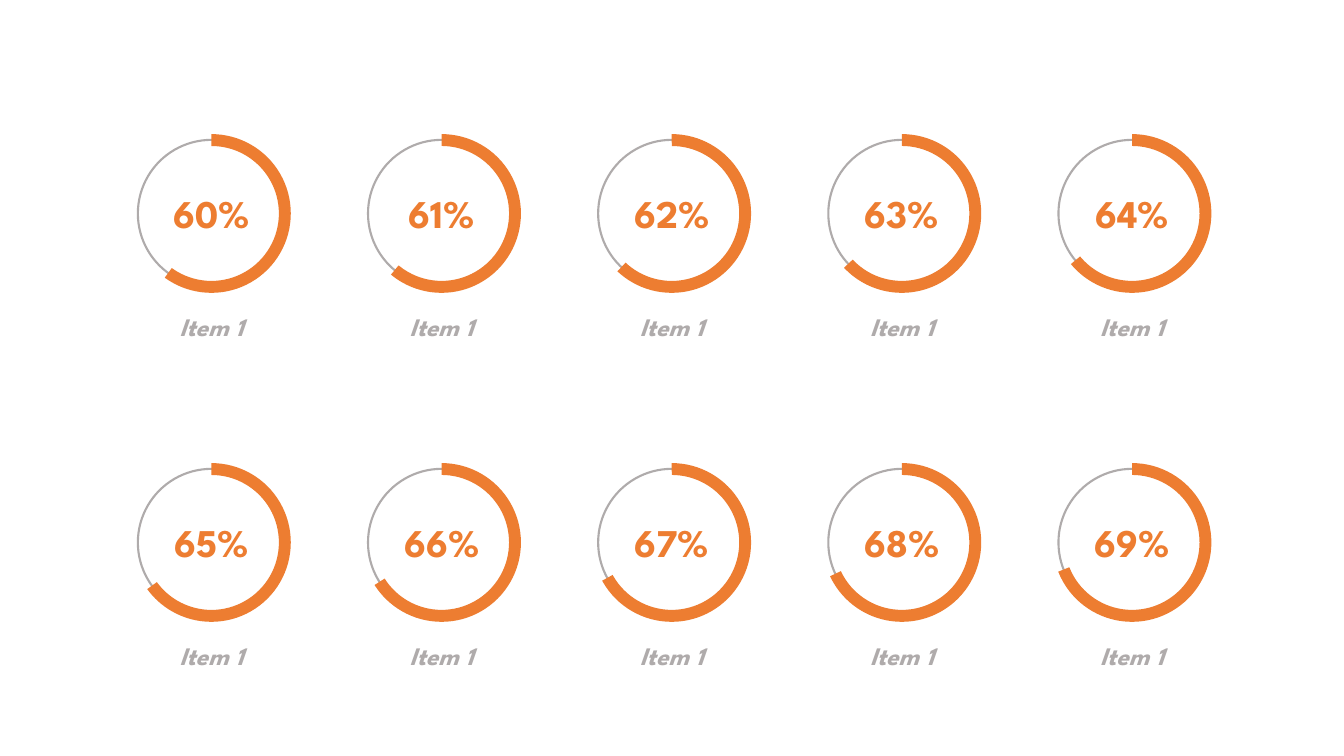
from pptx import Presentation
from pptx.dml.color import RGBColor
from pptx.enum.shapes import MSO_SHAPE
from pptx.enum.text import MSO_AUTO_SIZE, PP_ALIGN
from pptx.util import Cm, Pt

ORANGE = RGBColor(0xED, 0x7D, 0x31)
GRAY = RGBColor(0xAF, 0xAB, 0xAB)

VALUE = {"name": "League Spartan", "size": Pt(28), "bold": True}
LABEL = {"name": "League Spartan", "size": Pt(18), "bold": True, "italic": True}
FRAME = {"word_wrap": True, "auto_size": MSO_AUTO_SIZE.SHAPE_TO_FIT_TEXT}

COLS, ROWS = 5, 2
LEFT, TOP = 5.33, 5.38
STEP_X, STEP_Y = 5.8, 8.29
RING, ARC, BAND = 3.71, 4, 0.3
DROP = 2.86
FIRST = 60


def apply(item, style):
    for key, value in style.items():
        setattr(item, key, value)


def frame(x, y, width, height):
    return Cm(x - width / 2), Cm(y - height / 2), Cm(width), Cm(height)


def add_ring(group, x, y):
    ring = group.shapes.add_shape(MSO_SHAPE.OVAL, *frame(x, y, RING, RING))
    ring.shadow.inherit = False
    ring.fill.background()
    ring.line.color.rgb = GRAY
    ring.line.width = Pt(1.5)


def add_arc(group, x, y, percent):
    arc = group.shapes.add_shape(MSO_SHAPE.BLOCK_ARC, *frame(x, y, ARC, ARC))
    arc.shadow.inherit = False
    arc.fill.solid()
    arc.fill.fore_color.rgb = ORANGE
    arc.line.fill.background()
    end = (270 + 3.6 * percent) % 360
    for index, value in enumerate((270 * 0.6, end * 0.6, BAND / ARC)):
        arc.adjustments[index] = value


def add_text(group, text, box, style, color):
    body = group.shapes.add_textbox(*box).text_frame
    apply(body, FRAME)
    line = body.paragraphs[0]
    line.alignment = PP_ALIGN.CENTER
    run = line.add_run()
    run.text = text
    apply(run.font, style)
    run.font.color.rgb = color


def add_gauge(slide, x, y, percent):
    group = slide.shapes.add_group_shape()
    add_ring(group, x, y)
    add_text(group, f"{percent}%", frame(x, y, 3.81, 1.45), VALUE, ORANGE)
    add_text(group, "Item 1", frame(x, y + DROP, 5.69, 1.02), LABEL, GRAY)
    add_arc(group, x, y, percent)


def main():
    deck = Presentation()
    deck.slide_width, deck.slide_height = Cm(33.87), Cm(19.05)
    slide = deck.slides.add_slide(deck.slide_layouts[6])
    for index in range(ROWS * COLS):
        row, col = divmod(index, COLS)
        add_gauge(slide, LEFT + col * STEP_X, TOP + row * STEP_Y, FIRST + index)
    deck.save("out.pptx")


if __name__ == "__main__":
    main()
